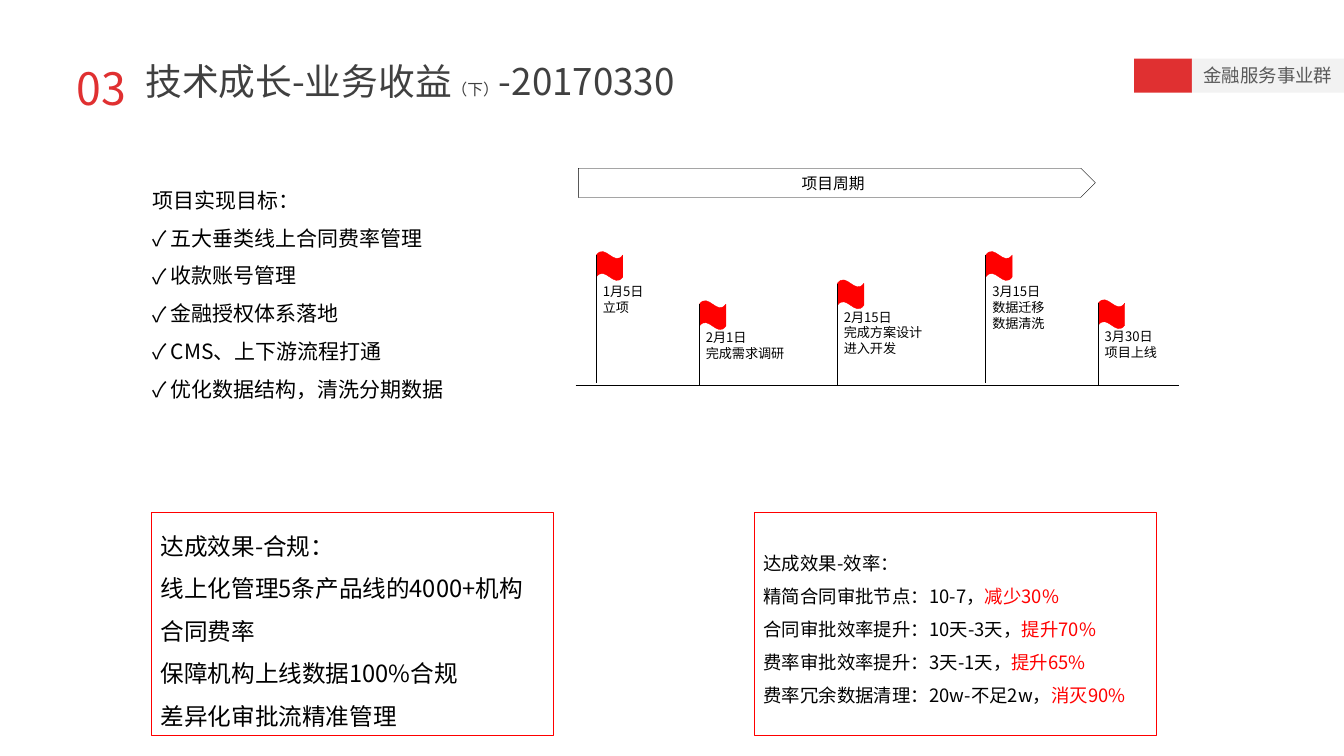
from dataclasses import dataclass
from typing import NamedTuple, Optional

from lxml import etree
from pptx import Presentation
from pptx.dml.color import RGBColor
from pptx.enum import shapes, text
from pptx.oxml import ns
from pptx.util import Inches, Pt

KIND = shapes.MSO_SHAPE
ALIGN = text.PP_ALIGN


@dataclass(frozen=True)
class Theme:
    face: str = "Noto Sans CJK SC"
    accent: str = "E03031"
    red: str = "FF0000"
    black: str = "000000"
    white: str = "FFFFFF"
    pale: str = "F2F2F2"
    grey: str = "595959"
    dark: str = "404040"
    number: int = 34
    title: int = 28
    large: int = 18
    body: int = 16
    small: int = 14
    label: int = 12
    note: int = 10


T = Theme()


class Box(NamedTuple):
    x: float
    y: float
    w: float
    h: float


class Run(NamedTuple):
    text: str
    color: Optional[str] = None
    size: Optional[int] = None


class Style(NamedTuple):
    size: int
    color: str = T.black
    align: ALIGN = ALIGN.LEFT
    gap: Optional[float] = None


class Flag(NamedTuple):
    x: float
    top: float
    note: float  # top of the note below the flag
    foot: float  # lower end of the pole
    width: float
    height: float
    lines: list[str]


def rgb(color: str) -> RGBColor:
    return RGBColor.from_string(color)


def sub(node, tag: str, **attrs: str):
    return etree.SubElement(node, ns.qn(tag), **attrs)


def tick(para) -> None:
    """Give the paragraph a hanging check mark."""
    props = para._p.get_or_add_pPr()
    props.set("marL", str(Inches(0.19)))
    props.set("indent", str(-Inches(0.19)))
    sub(props, "a:buFont", typeface=T.face)
    sub(props, "a:buChar", char="✓")


def write(frame, rows: list, style: Style, ticks: int = 0) -> None:
    """Fill the frame; a row is a string or a list of runs, the last ticks rows get marks."""
    for i, row in enumerate(rows):
        para = frame.paragraphs[0] if i == 0 else frame.add_paragraph()
        para.alignment = style.align
        if style.gap:
            para.line_spacing = style.gap
        if i >= len(rows) - ticks:
            tick(para)
        font = para.font
        font.size, font.name = Pt(style.size), T.face
        font.color.rgb = rgb(style.color)
        sub(font._element, "a:ea", typeface=T.face)
        for part in [Run(row)] if isinstance(row, str) else row:
            run = para.add_run()
            run.text = part.text
            if part.color:
                run.font.color.rgb = rgb(part.color)
            if part.size:
                run.font.size = Pt(part.size)


def label(slide, box: Box, rows: list, style: Style, wrap: bool = True, ticks: int = 0) -> None:
    frame = slide.shapes.add_textbox(*map(Inches, box)).text_frame
    frame.word_wrap = wrap
    frame.auto_size = text.MSO_AUTO_SIZE.SHAPE_TO_FIT_TEXT
    write(frame, rows, style, ticks)


def block(slide, kind: KIND, box: Box, fill: str, line: Optional[str] = None,
          width: float = 0.25, rows: Optional[list] = None, style: Optional[Style] = None) -> None:
    shape = slide.shapes.add_shape(kind, *map(Inches, box))
    shape.shadow.inherit = False
    shape.fill.solid()
    shape.fill.fore_color.rgb = rgb(fill)
    if line:
        shape.line.color.rgb = rgb(line)
        shape.line.width = Pt(width)
    else:
        shape.line.fill.background()
    if rows and style:
        frame = shape.text_frame
        frame.word_wrap = True
        frame.vertical_anchor = text.MSO_ANCHOR.MIDDLE
        write(frame, rows, style)


def rule(slide, x1: float, y1: float, x2: float, y2: float) -> None:
    ends = map(Inches, (x1, y1, x2, y2))
    line = slide.shapes.add_connector(shapes.MSO_CONNECTOR.STRAIGHT, *ends)
    line.line.color.rgb = rgb(T.black)
    line.line.width = Pt(0.75)
    sub(line._element.spPr, "a:effectLst")


def plant(slide, flag: Flag) -> None:
    """Draw one milestone: flag, pole and note."""
    block(slide, KIND.WAVE, Box(flag.x, flag.top, 0.28, 0.31), T.red, T.red)
    rule(slide, flag.x, flag.top + 0.04, flag.x, flag.foot)
    box = Box(flag.x - 0.03, flag.note, flag.width, flag.height)
    label(slide, box, flag.lines, Style(T.note))


FLAGS = [
    Flag(6.31, 2.66, 2.95, 4.05, 0.83, 0.59, ["1月5日", "立项"]),
    Flag(7.4, 3.18, 3.44, 4.08, 1.27, 0.59, ["2月1日", "完成需求调研"]),
    Flag(8.86, 2.96, 3.22, 4.08, 1.22, 0.82, ["2月15日", "完成方案设计", "进入开发"]),
    Flag(10.43, 2.66, 2.95, 4.05, 0.99, 0.82, ["3月15日", "数据迁移", "数据清洗"]),
    Flag(11.62, 3.17, 3.43, 4.07, 0.92, 0.59, ["3月30日", "项目上线"]),
]
GOALS = ["项目实现目标：", "五大垂类线上合同费率管理", "收款账号管理",
         "金融授权体系落地", "CMS、上下游流程打通", "优化数据结构，清洗分期数据"]
RULES = ["达成效果-合规：", "线上化管理5条产品线的4000+机构合同费率",
         "保障机构上线数据100%合规", "差异化审批流精准管理"]
GAINS = [
    ("精简合同审批节点：10-7，", "减少30%"),
    ("合同审批效率提升：10天-3天，", "提升70%"),
    ("费率审批效率提升：3天-1天，", "提升65%"),
    ("费率冗余数据清理：20w-不足2w，", "消灭90%"),
]


def main() -> None:
    deck = Presentation()
    deck.slide_width, deck.slide_height = Inches(14.22), Inches(8)
    slide = deck.slides.add_slide(deck.slide_layouts[6])

    block(slide, KIND.RECTANGLE, Box(12, 0.62, 0.61, 0.36), T.accent)
    block(slide, KIND.RECTANGLE, Box(12.61, 0.62, 1.61, 0.36), T.pale,
          rows=["金融服务事业群"], style=Style(T.small, T.grey, ALIGN.CENTER))
    label(slide, Box(0.69, 0.03, 0.76, 1.15), ["03"],
          Style(T.number, T.accent, ALIGN.CENTER, 2.0), wrap=False)
    title = [Run("技术成长-业务收益"), Run("（下）", size=T.label), Run("-20170330")]
    label(slide, Box(1.44, 0.11, 6.03, 0.96), [title],
          Style(T.title, T.dark, gap=2.0), wrap=False)

    label(slide, Box(1.52, 1.8, 3.62, 2.5), GOALS, Style(T.body, gap=1.5),
          ticks=len(GOALS) - 1)
    block(slide, KIND.PENTAGON, Box(6.12, 1.78, 5.47, 0.31), T.white, T.black,
          rows=["项目周期"], style=Style(T.label, align=ALIGN.CENTER))
    rule(slide, 6.09, 4.08, 12.47, 4.08)
    for flag in FLAGS:
        plant(slide, flag)

    gains = ["达成效果-效率："] + [[Run(fact), Run(gain, T.red)] for fact, gain in GAINS]
    for x, rows, size in ((1.6, RULES, T.large), (7.98, gains, T.small)):
        block(slide, KIND.RECTANGLE, Box(x, 5.42, 4.25, 2.36), T.white, T.red, 0.5,
              rows, Style(size, gap=1.5))

    deck.save("out.pptx")


if __name__ == "__main__":
    main()
